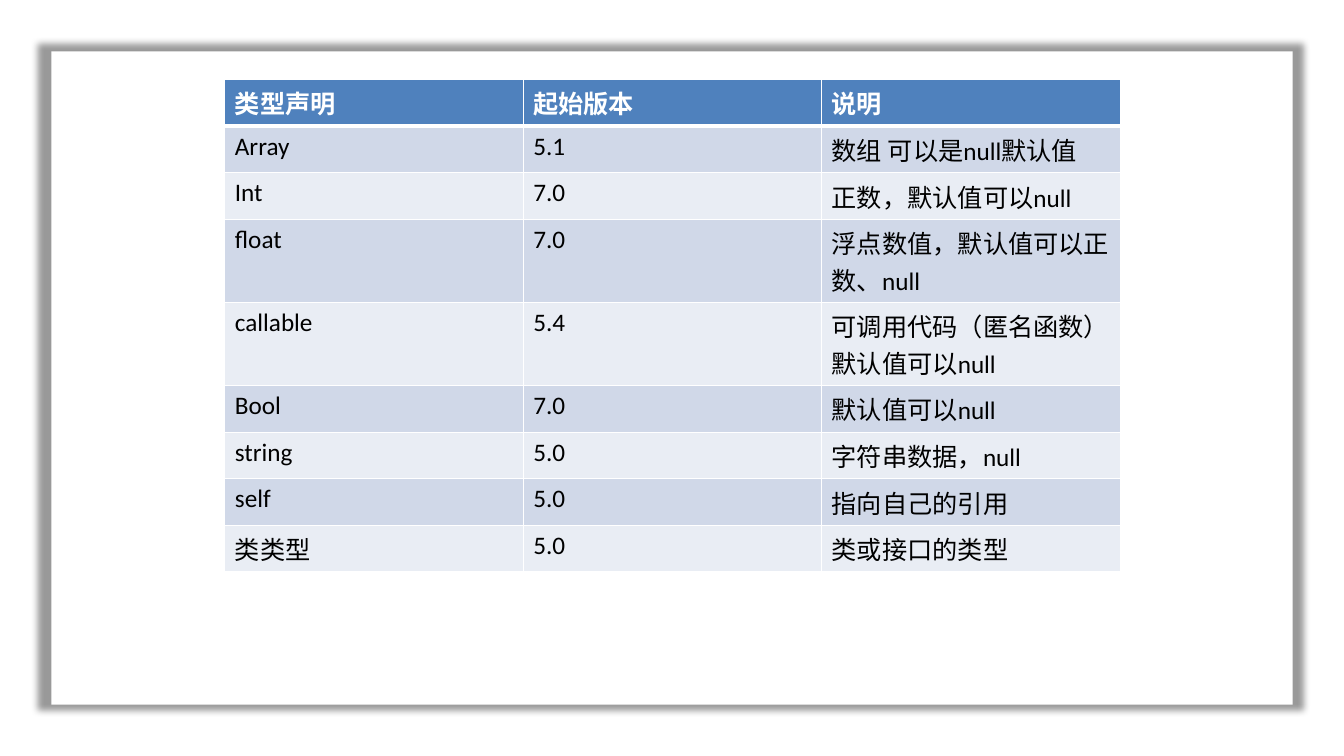
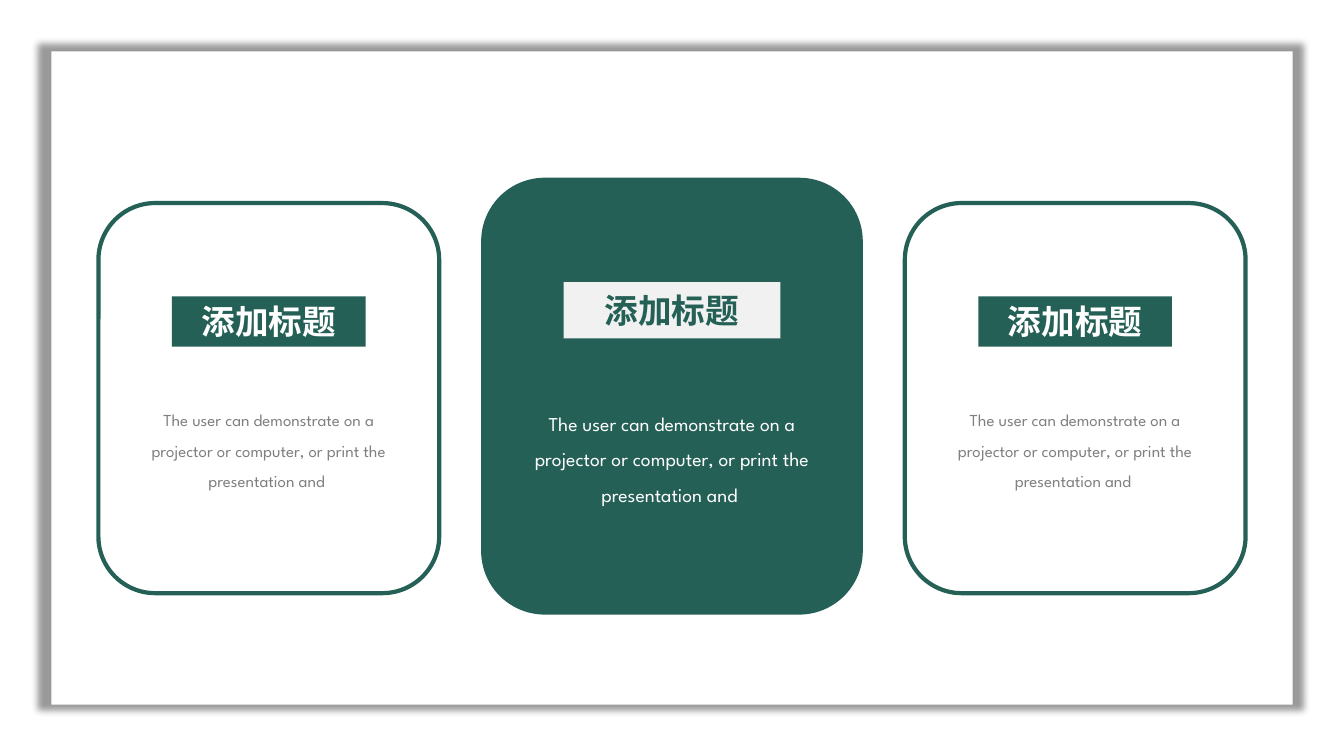
from dataclasses import dataclass

import pptx
import pptx.dml.color
import pptx.enum.shapes
import pptx.enum.text
import pptx.oxml
import pptx.oxml.ns
import pptx.util

WIDTH, HEIGHT = 13.33, 7.5
GREEN, WHITE, BLACK = "246056", "FFFFFF", "000000"
GREY, PALE = "808080", "F1F1F1"
HEADER_FILL, ROW_FILLS = "4F81BD", ("D0D8E8", "E9EDF4")
CHINESE_FONT = "Noto Sans CJK SC"
TABLE_FONT, BODY_FONT = "Calibri", "League Spartan"
RECTANGLE = pptx.enum.shapes.MSO_SHAPE.RECTANGLE
ROUNDED = pptx.enum.shapes.MSO_SHAPE.ROUNDED_RECTANGLE
CENTER = pptx.enum.text.PP_ALIGN.CENTER

FRAME_MARGIN = 0.51
TABLE_LEFT, TABLE_TOP, COLUMN_WIDTH, ROW_HEIGHT = 2.23, 0.79, 2.96, 0.41
CARD_SIZE, TAG_SIZE, BODY_SIZE = (3.38, 3.87), (1.92, 0.5), (2.9, 1.01)
TAG_RISE, BODY_TOP = 0.76, 3.92

TYPE_ROWS = [
    ("类型声明", "起始版本", "说明"),
    ("Array", "5.1", "数组 可以是null默认值"),
    ("Int", "7.0", "正数，默认值可以null"),
    ("float", "7.0", "浮点数值，默认值可以正数、null"),
    ("callable", "5.4", "可调用代码（匿名函数）\n默认值可以null"),
    ("Bool", "7.0", "默认值可以null"),
    ("string", "5.0", "字符串数据，null"),
    ("self", "5.0", "指向自己的引用"),
    ("类类型", "5.0", "类或接口的类型"),
]
CARD_TITLE = "添加标题"
CARD_BODY = "The user can demonstrate on a projector or computer, or print the presentation and "


@dataclass(frozen=True)
class Card:
    center_share: float
    middle: float
    scale: float
    fill: str | None
    tag_fill: str
    tag_color: str
    body_color: str
    body_points: int


CARDS = [
    Card(0.2, 3.95, 1, None, GREEN, WHITE, GREY, 12),
    Card(0.5, 3.93, 1.12, GREEN, PALE, GREEN, WHITE, 14),
    Card(0.8, 3.95, 1, None, GREEN, WHITE, GREY, 12),
]


def color(value: str) -> pptx.dml.color.RGBColor:
    return pptx.dml.color.RGBColor.from_string(value)


def inches(*lengths: float) -> list:
    return [pptx.util.Inches(length) for length in lengths]


def write(text_frame, text: str, *, font: str, size: float, text_color: str,
          bold: bool = False, align=None, line_spacing: float | None = None) -> None:
    text_frame.word_wrap = True
    for index, line in enumerate(text.split("\n")):
        paragraph = text_frame.add_paragraph() if index else text_frame.paragraphs[0]
        paragraph.alignment = align
        paragraph.line_spacing = line_spacing
        run = paragraph.add_run()
        run.text = line
        run.font.name = font
        run.font.size = pptx.util.Pt(size)
        run.font.bold = bold
        run.font.color.rgb = color(text_color)
        run.font._element.find(pptx.oxml.ns.qn("a:latin")).addnext(
            pptx.oxml.parse_xml(
                f'<a:ea {pptx.oxml.ns.nsdecls("a")} typeface="{CHINESE_FONT}"/>'))


def add_block(slide, kind, box: list, fill: str | None, line: str | None = None):
    shape = slide.shapes.add_shape(kind, *box)
    shape.shadow.inherit = False
    if fill:
        shape.fill.solid()
        shape.fill.fore_color.rgb = color(fill)
    else:
        shape.fill.background()
    if line:
        shape.line.color.rgb = color(line)
        shape.line.width = pptx.util.Pt(3)
    else:
        shape.line.fill.background()
    return shape


def add_framed_slide(presentation):
    slide = presentation.slides.add_slide(presentation.slide_layouts[6])
    box = inches(FRAME_MARGIN, FRAME_MARGIN,
                 WIDTH - 2 * FRAME_MARGIN, HEIGHT - 2 * FRAME_MARGIN)
    frame = add_block(slide, RECTANGLE, box, WHITE)
    effects = frame._element.spPr.find(pptx.oxml.ns.qn("a:effectLst"))
    effects.append(pptx.oxml.parse_xml(
        f'<a:outerShdw {pptx.oxml.ns.nsdecls("a")} blurRad="63500" sx="102000" '
        f'sy="102000" algn="ctr" rotWithShape="0"><a:srgbClr val="{BLACK}">'
        '<a:alpha val="40000"/></a:srgbClr></a:outerShdw>'))
    return slide


def set_borders(cell, **points: float) -> None:
    properties = cell._tc.get_or_add_tcPr()
    for side, width in points.items():
        properties.append(pptx.oxml.parse_xml(
            f'<a:ln{side} {pptx.oxml.ns.nsdecls("a")} w="{int(width * 12700)}">'
            f'<a:solidFill><a:srgbClr val="{WHITE}"/></a:solidFill></a:ln{side}>'))


def add_type_table(slide) -> None:
    rows, columns = len(TYPE_ROWS), len(TYPE_ROWS[0])
    box = inches(TABLE_LEFT, TABLE_TOP, columns * COLUMN_WIDTH, rows * ROW_HEIGHT)
    table = slide.shapes.add_table(rows, columns, *box).table
    for row_index, row in enumerate(TYPE_ROWS):
        header = row_index == 0
        fill = HEADER_FILL if header else ROW_FILLS[(row_index - 1) % 2]
        for column_index, text in enumerate(row):
            cell = table.cell(row_index, column_index)
            set_borders(cell, L=1, R=1, T=3 if row_index == 1 else 1, B=3 if header else 1)
            cell.fill.solid()
            cell.fill.fore_color.rgb = color(fill)
            write(cell.text_frame, text, font=TABLE_FONT, size=18, bold=header,
                  text_color=WHITE if header else BLACK)


def add_card(slide, card: Card) -> None:
    def centered(size: tuple[float, float], top: float | None = None,
                 rise: float = 0) -> list:
        width, height = (length * card.scale for length in size)
        if top is None:
            top = card.middle - rise * card.scale - height / 2
        return inches(card.center_share * WIDTH - width / 2, top, width, height)

    add_block(slide, ROUNDED, centered(CARD_SIZE), card.fill,
              None if card.fill else GREEN)
    tag = add_block(slide, RECTANGLE, centered(TAG_SIZE, rise=TAG_RISE), card.tag_fill)
    tag.text_frame.vertical_anchor = pptx.enum.text.MSO_ANCHOR.MIDDLE
    write(tag.text_frame, CARD_TITLE, font=CHINESE_FONT, size=24, bold=True,
          text_color=card.tag_color, align=CENTER)
    body = slide.shapes.add_textbox(*centered(BODY_SIZE, top=BODY_TOP))
    write(body.text_frame, CARD_BODY, font=BODY_FONT, size=card.body_points,
          text_color=card.body_color, align=CENTER, line_spacing=1.5)


def main() -> None:
    presentation = pptx.Presentation()
    presentation.slide_width, presentation.slide_height = inches(WIDTH, HEIGHT)
    add_type_table(add_framed_slide(presentation))
    card_slide = add_framed_slide(presentation)
    for card in CARDS:
        add_card(card_slide, card)
    presentation.save("out.pptx")


if __name__ == "__main__":
    main()
